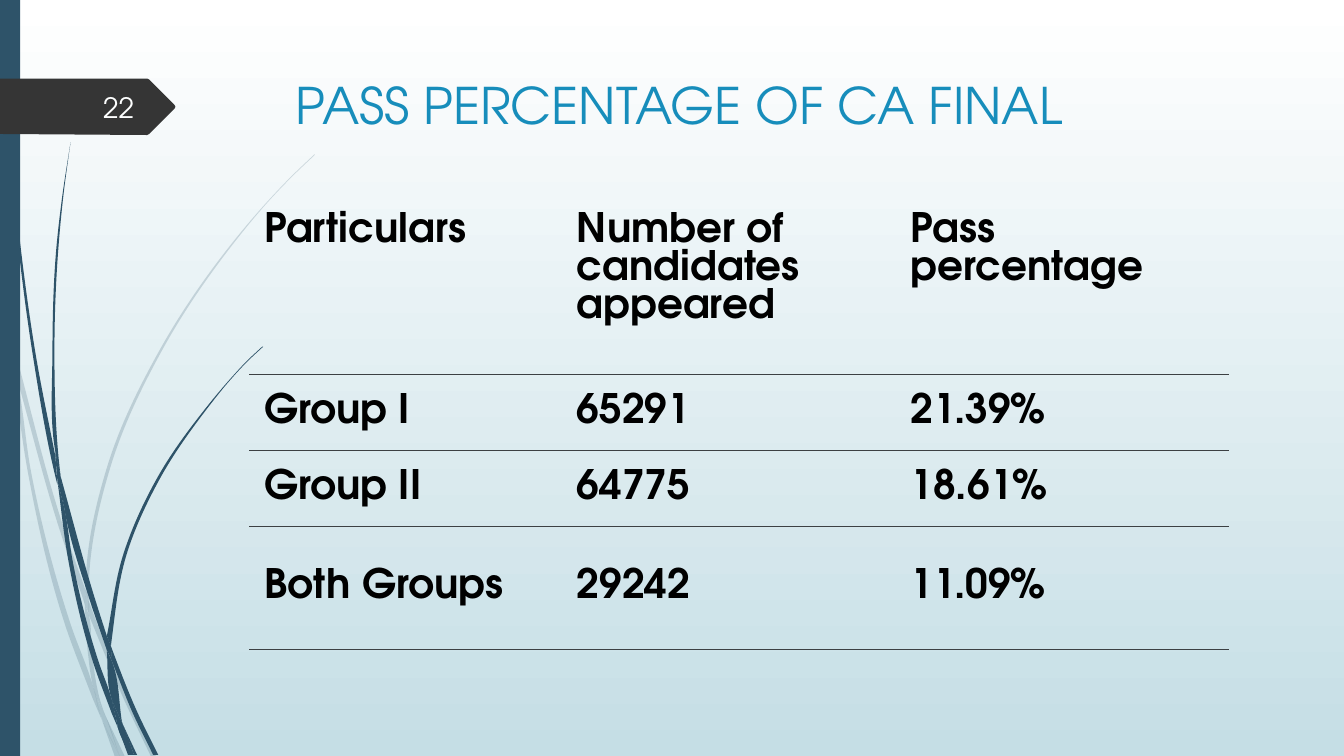
from math import dist
from lxml import etree
from pptx import Presentation
from pptx.dml.color import RGBColor
from pptx.enum.shapes import MSO_SHAPE
from pptx.enum.text import MSO_ANCHOR, PP_ALIGN
from pptx.oxml.ns import qn
from pptx.util import Inches, Pt

RECT = MSO_SHAPE.RECTANGLE
TOP, MIDDLE = MSO_ANCHOR.TOP, MSO_ANCHOR.MIDDLE
LEFT, RIGHT = PP_ALIGN.LEFT, PP_ALIGN.RIGHT
NAVY = RGBColor(0x2E, 0x53, 0x69)
DARK = RGBColor(0x35, 0x35, 0x35)
BLUE = RGBColor(0x17, 0x8D, 0xBB)
BLACK = RGBColor(0, 0, 0)
PALE = RGBColor(0xFE, 0xFF, 0xFF)
WHITE = RGBColor(0xFF, 0xFF, 0xFF)
MIST = RGBColor(0xC5, 0xDE, 0xE5)
RULE = RGBColor(0x3C, 0x40, 0x43)
FONT = "TeX Gyre Adventor"
NO_STYLE = "{2D5ABB26-0587-4C30-8999-92F81FD0307C}"

TITLE = "PASS PERCENTAGE OF CA FINAL"
NUMBER = "22"
ROWS = [
    ("Particulars", "Number of candidates appeared", "Pass percentage"),
    ("Group I", "65291", "21.39%"),
    ("Group II", "64775", "18.61%"),
    ("Both Groups", "29242", "11.09%"),
]
WIDTHS = [3.1, 3.31, 3.31]
HEIGHTS = [1.74, 0.75, 0.75, 1.22]

FAINT = [
    ([(0.11, 3.5), (0.09, 3.22), (0, 2.82)],
     [(0, 2.99), (0.1, 3.44), (0.11, 3.5)]),
    ([(0.14, 3.45), (0.62, 5.2), (0.85, 5.86)],
     [(0.84, 5.99), (0.58, 5.22), (0.17, 3.76)]),
    ([(0.88, 5.96), (0.92, 6.07), (1.27, 6.92), (1.55, 7.51)],
     [(1.5, 7.51), (1.23, 6.94), (0.88, 6.1)]),
    ([(1.05, 7.11), (1.24, 7.51)], [(1.19, 7.51), (1.05, 7.11)]),
    ([(0.11, 3.5), (0.17, 3.76), (0.31, 4.69), (0.7, 6.19), (0.93, 6.83),
      (0.99, 7.07), (1.01, 7.14)],
     [(0.92, 6.93), (0.65, 6.21), (0.28, 4.7), (0.11, 3.5)]),
    ([(0.84, 5.99), (0.88, 6.1), (0.91, 6.46), (1.03, 7.06), (1.05, 7.11)],
     [(0.96, 6.92), (0.93, 6.83), (0.87, 6.46), (0.84, 5.99)]),
    ([(0.88, 5.96), (0.88, 5.84), (1.1, 4.62), (1.6, 3.49), (2.29, 2.45),
      (2.68, 1.98), (2.9, 1.75), (3.12, 1.54)],
     [(3.12, 1.53), (2.89, 1.75), (2.68, 1.97), (2.28, 2.44), (1.58, 3.48),
      (1.07, 4.61), (0.85, 5.84), (0.85, 5.86)]),
    ([(1.01, 7.14), (1.14, 7.51)], [(1.19, 7.51), (1.01, 7.14)]),
    ([(0.88, 6.1), (0.88, 5.96), (0.85, 5.86)],
     [(0.84, 5.99), (0.88, 6.08)]),
    ([(0.93, 6.83), (0.99, 7.07), (1.19, 7.51)],
     [(1.19, 7.51), (1.05, 7.11), (0.96, 6.92), (0.93, 6.83)]),
]
SOLID = [
    ([(0.03, 0), (0.04, 0.48), (0.07, 1.1), (0.17, 2.33), (0.33, 3.55),
      (0.56, 4.77), (0.57, 4.81)],
     [(0.55, 4.53), (0.36, 3.55), (0.19, 2.32), (0.08, 1.09), (0.05, 0.48),
      (0.04, 0)]),
    ([(0.6, 4.72), (0.93, 5.9), (1.06, 6.31)],
     [(1.06, 6.45), (0.88, 5.92), (0.64, 5.05), (0.6, 4.72)]),
    ([(1.1, 6.41), (1.13, 6.49), (1.36, 7.06), (1.57, 7.49)],
     [(1.52, 7.49), (1.32, 7.08), (1.11, 6.56)]),
    ([(0.57, 4.77), (0.64, 5.05), (0.72, 5.56), (0.98, 6.57), (1.1, 6.91),
      (1.16, 7.17), (1.17, 7.22)],
     [(1.11, 7.08), (0.93, 6.59), (0.68, 5.57), (0.57, 4.77)]),
    ([(0.6, 4.72), (0.58, 4.53), (0.54, 3.49), (0.58, 2.45), (0.63, 1.93),
      (0.7, 1.41)],
     [(0.7, 1.41), (0.62, 1.93), (0.56, 2.45), (0.52, 3.49), (0.55, 4.49),
      (0.6, 4.72)]),
    ([(1.22, 7.19), (1.36, 7.49)], [(1.33, 7.49), (1.22, 7.19)]),
    ([(0.55, 4.49), (0.6, 4.72), (0.64, 5.05)],
     [(0.57, 4.77), (0.55, 4.53)]),
    ([(1.1, 6.41), (1.11, 6.33), (1.25, 5.52), (1.58, 4.76), (2.05, 4.06),
      (2.31, 3.74), (2.45, 3.59), (2.61, 3.44)],
     [(2.6, 3.44), (2.45, 3.58), (2.31, 3.73), (2.04, 4.05), (1.56, 4.74),
      (1.22, 5.51), (1.06, 6.31)]),
    ([(1.17, 7.22), (1.31, 7.49)], [(1.27, 7.49), (1.17, 7.22)]),
    ([(1.06, 6.45), (1.1, 6.91), (1.16, 7.06), (1.22, 7.19)],
     [(1.21, 7.16), (1.11, 6.56), (1.06, 6.45)]),
    ([(1.06, 6.31), (1.1, 6.41), (1.11, 6.56)],
     [(1.09, 6.51), (1.06, 6.45)]),
    ([(1.1, 6.91), (1.16, 7.06), (1.22, 7.19), (1.33, 7.49)],
     [(1.3, 7.49), (1.17, 7.22), (1.16, 7.17), (1.1, 6.91)]),
]
TAG = [(0, 0.78), (1.46, 0.78), (1.48, 0.79), (1.73, 1.04), (1.74, 1.06),
       (1.73, 1.08), (1.48, 1.33), (1.46, 1.34), (0, 1.33)]


def bends(edge):
    gaps = [dist(a, b) for a, b in zip(edge, edge[1:])]
    dirs = [((c - a) / g, (d - b) / g)
            for (a, b), (c, d), g in zip(edge, edge[1:], gaps)]
    mids = [tuple((u * h + v * g) / (g + h) for u, v in zip(p, q))
            for p, q, g, h in zip(dirs, dirs[1:], gaps, gaps[1:])]
    turns = [dirs[0], *mids, dirs[-1]]
    for a, b, s, t, g in zip(edge, edge[1:], turns, turns[1:], gaps):
        yield ([p + u * g / 3 for p, u in zip(a, s)],
               [q - v * g / 3 for q, v in zip(b, t)])


def paint(shape, color):
    shape.shadow.inherit = False
    shape.fill.solid()
    shape.fill.fore_color.rgb = color
    shape.line.fill.background()


def draw(shapes, dots, color):
    spots = [(Inches(x), Inches(y)) for x, y in dots]
    pen = shapes.build_freeform(*spots[0])
    pen.add_line_segments(spots[1:], close=True)
    shape = pen.convert_to_shape()
    paint(shape, color)
    return shape


def wisp(shapes, out, home, alpha):
    shape = draw(shapes, out + home, NAVY)
    left, top = (min(axis) for axis in zip(*out, *home))
    lines = list(shape.element.iter(qn("a:lnTo")))
    for line, pair in zip(lines, [*bends(out), None, *bends(home)]):
        if pair:
            line.tag = qn("a:cubicBezTo")
            for i, (x, y) in enumerate(pair):
                spot = etree.Element(qn("a:pt"), x=str(Inches(x - left)),
                                     y=str(Inches(y - top)))
                line.insert(i, spot)
    if alpha < 100:
        tint = shape.element.spPr.find(".//" + qn("a:srgbClr"))
        etree.SubElement(tint, qn("a:alpha"), val=str(alpha * 1000))


def write(frame, text, size=29, color=BLACK, bold=False, align=LEFT, anchor=TOP):
    frame.word_wrap = True
    frame.vertical_anchor = anchor
    para = frame.paragraphs[0]
    para.alignment = align
    run = para.add_run()
    run.text = text
    run.font.name = FONT
    run.font.size = Pt(size)
    run.font.bold = bold
    run.font.color.rgb = color


def rule(cell):
    props = cell._tc.get_or_add_tcPr()
    line = etree.Element(qn("a:lnB"), w=str(Pt(0.75)))
    fill = etree.SubElement(line, qn("a:solidFill"))
    etree.SubElement(fill, qn("a:srgbClr"), val=str(RULE))
    props.insert(0, line)


def grid(shapes):
    frame = shapes.add_table(len(ROWS), len(WIDTHS), Inches(2.47), Inches(1.98),
                             Inches(sum(WIDTHS)), Inches(sum(HEIGHTS)))
    frame.element.find(".//" + qn("a:tableStyleId")).text = NO_STYLE
    table = frame.table
    table.first_row = table.horz_banding = False
    for col, width in zip(table.columns, WIDTHS):
        col.width = Inches(width)
    for i, (row, height) in enumerate(zip(table.rows, HEIGHTS)):
        row.height = Inches(height)
        for cell, text in zip(row.cells, ROWS[i]):
            cell.margin_left = cell.margin_right = Inches(0.15)
            cell.margin_top = cell.margin_bottom = Inches(0.13)
            cell.fill.background()
            rule(cell)
            write(cell.text_frame, text, bold=True)
            cell.vertical_anchor = MIDDLE if i else TOP


def main():
    deck = Presentation()
    deck.slide_width, deck.slide_height = Inches(13.33), Inches(7.5)
    slide = deck.slides.add_slide(deck.slide_layouts[6])
    shapes = slide.shapes
    back = slide.background.fill
    back.gradient()
    back.gradient_angle = 270
    for stop, color in zip(back.gradient_stops, (WHITE, MIST)):
        stop.color.rgb = color
    for wisps, alpha in ((FAINT, 20), (SOLID, 100)):
        group = shapes.add_group_shape()
        for out, home in wisps:
            wisp(group.shapes, out, home, alpha)
    bar = shapes.add_shape(RECT, 0, 0, Inches(0.2), Inches(7.5))
    paint(bar, NAVY)
    draw(shapes, TAG, DARK)
    head = shapes.add_textbox(Inches(2.83), Inches(0.69), Inches(9.75), Inches(1.4))
    write(head.text_frame, TITLE, size=36, color=BLUE)
    grid(shapes)
    page = shapes.add_textbox(Inches(0.58), Inches(0.86), Inches(0.85), Inches(0.4))
    write(page.text_frame, NUMBER, size=20, color=PALE, align=RIGHT, anchor=MIDDLE)
    deck.save("out.pptx")


if __name__ == "__main__":
    main()
